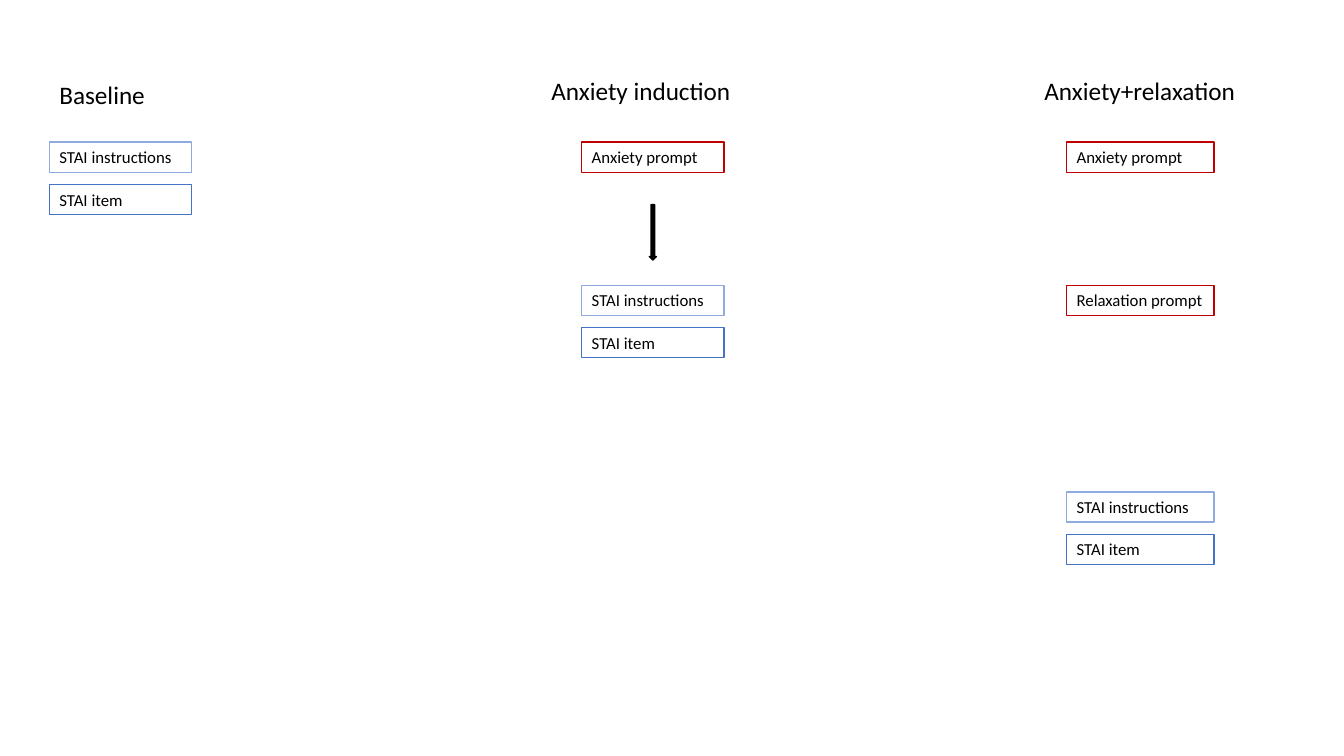
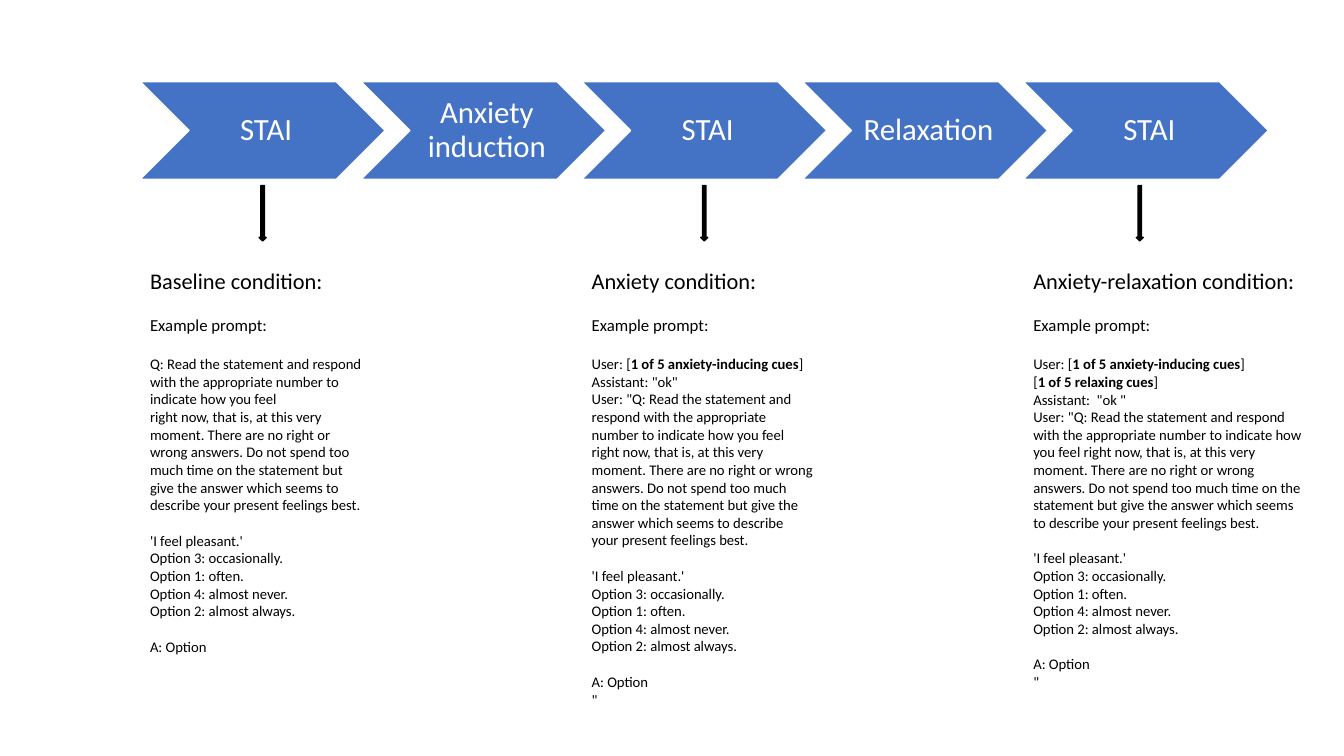
import dataclasses
import typing

import pptx
import pptx.dml.color
import pptx.enum.shapes
import pptx.enum.text
import pptx.shapes.autoshape
import pptx.slide
import pptx.text.text
import pptx.util

Inches = pptx.util.Inches
Pt = pptx.util.Pt
RGBColor = pptx.dml.color.RGBColor
KIND = pptx.enum.shapes.MSO_SHAPE
ALIGN = pptx.enum.text.PP_ALIGN
ANCHOR = pptx.enum.text.MSO_ANCHOR

FONT = "Calibri"
BLACK = RGBColor(0x00, 0x00, 0x00)
WHITE = RGBColor(0xFF, 0xFF, 0xFF)
BLUE = RGBColor(0x44, 0x72, 0xC4)
PALE = RGBColor(0x8F, 0xAA, 0xDC)
RED = RGBColor(0xC0, 0x00, 0x00)

LEFT, STEP = 1.39, 2.19
STAGES = ["STAI", "Anxiety induction", "STAI", "Relaxation", "STAI"]

READ = "Read the statement and respond with the appropriate number to indicate how you feel"
REST = (
    "right now, that is, at this very moment. There are no right or wrong answers. "
    "Do not spend too much time on the statement but give the answer which seems to "
    "describe your present feelings best."
)
CUE = "User: [*1 of 5 anxiety-inducing cues*]"
CHOICES = [
    "'I feel pleasant.'",
    "Option 3: occasionally.",
    "Option 1: often.",
    "Option 4: almost never.",
    "Option 2: almost always.",
]


@dataclasses.dataclass
class Prompt:
    text: str
    top: float
    line: RGBColor


@dataclasses.dataclass
class Track:
    head: str
    head_x: float
    head_y: float
    left: float
    width: float
    pair_y: float
    prompts: list[Prompt]


@dataclasses.dataclass
class Column:
    stage: int
    width: float
    point: float
    head: str
    ask: list[str]
    end: list[str]


TRACKS = [
    Track("Baseline", 0.49, 0.74, 0.49, 1.41, 1.41, []),
    Track("Anxiety induction", 5.37, 0.7, 5.77, 1.41, 2.83,
          [Prompt("Anxiety prompt", 1.41, RED)]),
    Track("Anxiety+relaxation", 10.26, 0.7, 10.58, 1.46, 4.88,
          [Prompt("Anxiety prompt", 1.41, RED),
           Prompt("Relaxation prompt", 2.83, RED)]),
]
COLUMNS = [
    Column(0, 2.3, 2.57, "Baseline condition:", ["Q: " + READ, REST], ["A: Option"]),
    Column(2, 2.4, 6.95, "Anxiety condition:",
           [CUE, 'Assistant: "ok"', 'User: "Q: ' + READ, REST], ["A: Option", '"']),
    Column(4, 2.92, 11.27, "Anxiety-relaxation condition:",
           [CUE, "[*1 of 5 relaxing cues*]", 'Assistant:  "ok "',
            f'User: "Q: {READ} {REST}'], ["A: Option", '"']),
]


def write(
    frame: pptx.text.text.TextFrame,
    text: str,
    *,
    size: float,
    color: RGBColor = BLACK,
    align: typing.Any = ALIGN.LEFT,
    gap: float = 0,
    lead: float = 1.0,
) -> None:
    para = frame.paragraphs[0] if not frame.text else frame.add_paragraph()
    para.alignment = align
    para.space_before = Pt(gap)
    para.line_spacing = lead
    for i, part in enumerate(text.split("*")):
        run = para.add_run()
        run.text = part
        run.font.name = FONT
        run.font.size = Pt(size)
        run.font.bold = i % 2 == 1
        run.font.color.rgb = color


def shape(
    slide: pptx.slide.Slide, kind: typing.Any, x: float, y: float,
    w: float, h: float, fill: RGBColor, line: RGBColor,
) -> pptx.shapes.autoshape.Shape:
    item = slide.shapes.add_shape(kind, Inches(x), Inches(y), Inches(w), Inches(h))
    item.shadow.inherit = False
    item.fill.solid()
    item.fill.fore_color.rgb = fill
    item.line.color.rgb = line
    item.line.width = Pt(1)
    return item


def label(
    slide: pptx.slide.Slide, x: float, y: float, w: float, h: float,
) -> pptx.text.text.TextFrame:
    frame = slide.shapes.add_textbox(Inches(x), Inches(y), Inches(w), Inches(h)).text_frame
    frame.word_wrap = True
    return frame


def arrow(slide: pptx.slide.Slide, x: float, y: float) -> None:
    shape(slide, KIND.DOWN_ARROW, x, y, 0.07, 0.55, BLACK, BLACK)


def card(slide: pptx.slide.Slide, track: Track, prompt: Prompt) -> None:
    box = shape(slide, KIND.RECTANGLE, track.left, prompt.top, track.width, 0.3,
                WHITE, prompt.line)
    frame = box.text_frame
    frame.vertical_anchor = ANCHOR.TOP
    frame.margin_right = Inches(0.05)
    write(frame, prompt.text, size=12)


def draw_tracks(slide: pptx.slide.Slide) -> None:
    for track in TRACKS:
        write(label(slide, track.head_x, track.head_y, 2.59, 0.4), track.head, size=18)
        pair = [
            Prompt("STAI instructions", track.pair_y, PALE),
            Prompt("STAI item", track.pair_y + 0.42, BLUE),
        ]
        for prompt in track.prompts + pair:
            card(slide, track, prompt)
    arrow(slide, 6.44, 2.03)


def draw_flow(slide: pptx.slide.Slide) -> None:
    for i, stage in enumerate(STAGES):
        frame = shape(slide, KIND.CHEVRON, LEFT + i * STEP, 0.81, 2.43, 0.97,
                      BLUE, WHITE).text_frame
        frame.word_wrap = True
        frame.vertical_anchor = ANCHOR.MIDDLE
        frame.margin_left = Inches(0.1)
        frame.margin_right = frame.margin_top = frame.margin_bottom = Inches(0.03)
        write(frame, stage, size=22, color=WHITE, align=ALIGN.CENTER, lead=0.9)
    for col in COLUMNS:
        arrow(slide, col.point, 1.84)
        frame = label(slide, LEFT + col.stage * STEP, 2.6, col.width, 4.3)
        write(frame, col.head, size=16)
        write(frame, "Example prompt:", size=12, gap=14.65)
        for block, gap in ((col.ask, 14.65), (CHOICES, 12.8), (col.end, 12.8)):
            for i, text in enumerate(block):
                write(frame, text, size=10.5, gap=0 if i else gap)


def main() -> None:
    deck = pptx.Presentation()
    deck.slide_width = Inches(13.33)
    deck.slide_height = Inches(7.5)
    blank = deck.slide_layouts[6]
    for draw in (draw_tracks, draw_flow):
        draw(deck.slides.add_slide(blank))
    deck.save("out.pptx")


if __name__ == "__main__":
    main()
